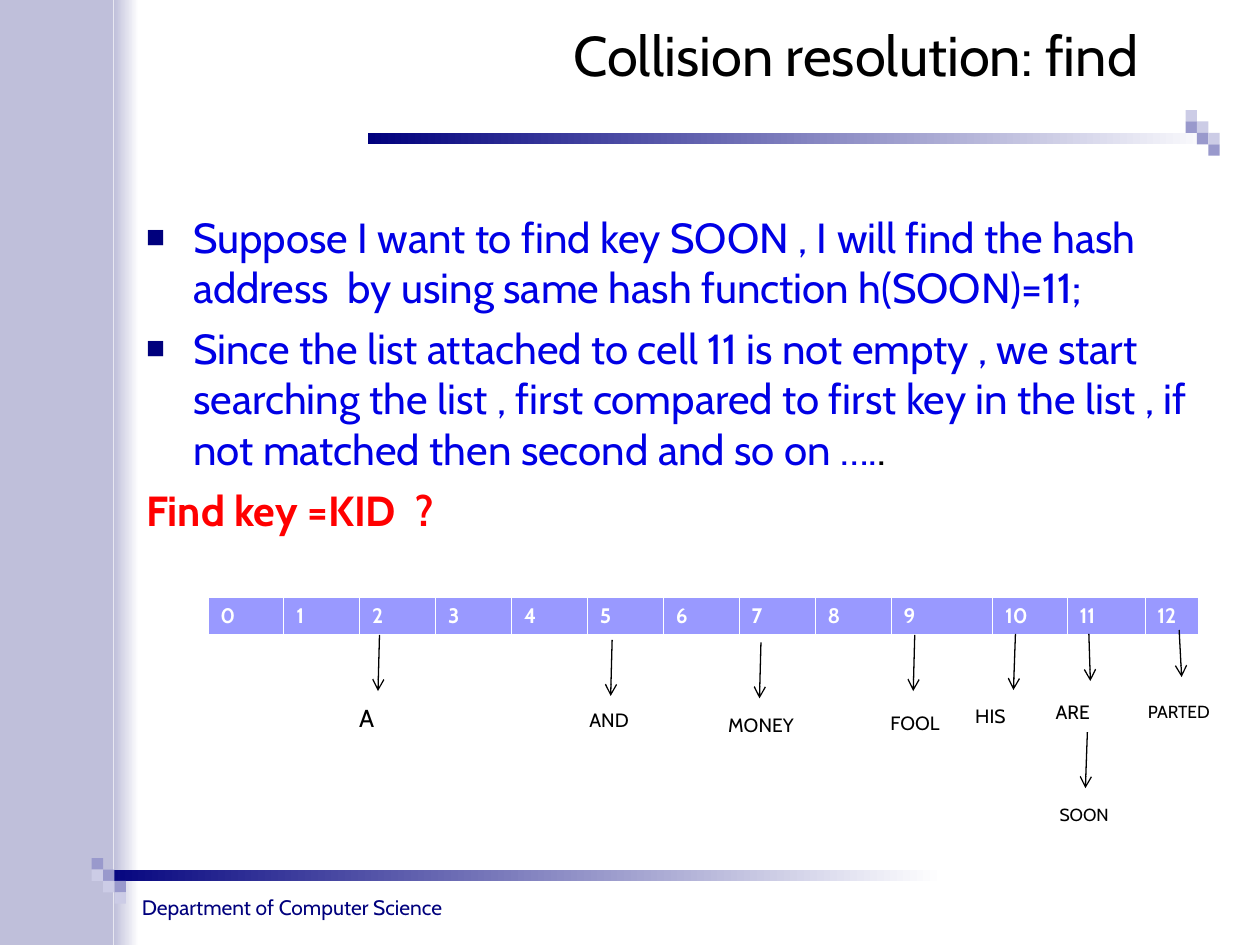
from lxml import etree
from pptx import Presentation
from pptx.dml.color import RGBColor
from pptx.enum import shapes, text
from pptx.oxml import ns
from pptx.util import Cm, Pt

COLORS = {
    "navy": "00007D", "panel": "BFBFDA", "mid": "9999CC", "light": "CCCCE6",
    "cell": "9999FF", "blue": "0000E5", "red": "FF0000",
    "black": "000000", "white": "FFFFFF",
}


def color(name):
    return RGBColor.from_string(COLORS[name])


def add_xml(parent, tag, **attributes):
    return etree.SubElement(parent, ns.qn(tag), attributes)


class SlideBuilder:
    font_name = "Cabin"

    def __init__(self, slide):
        self.slide = slide

    def run(self, paragraph, words, size, color_name, bold=False):
        run = paragraph.add_run()
        run.text = words
        run.font.name = self.font_name
        run.font.size = Pt(size)
        run.font.bold = bold
        run.font.color.rgb = color(color_name)

    def place(self, shape, left, top, width, height):
        shape.left, shape.top = Cm(left), Cm(top)
        shape.width, shape.height = Cm(width), Cm(height)

    def rectangle(self, left, top, width, height, fill, fade=False):
        shape = self.slide.shapes.add_shape(
            shapes.MSO_SHAPE.RECTANGLE, Cm(left), Cm(top), Cm(width), Cm(height))
        shape.shadow.inherit = False
        shape.line.fill.background()
        if fade:
            shape.fill.gradient()
            shape.fill.gradient_angle = 0
            for stop, name in zip(shape.fill.gradient_stops, (fill, "white")):
                stop.color.rgb = color(name)
        else:
            shape.fill.solid()
            shape.fill.fore_color.rgb = color(fill)

    def squares(self, left, top, pattern):
        side = 0.23
        for column, row, fill in pattern:
            self.rectangle(left + column * side, top + row * side, side, side, fill)

    def title(self, words):
        shape = self.slide.shapes.title
        self.place(shape, 0.2, 0.2, 23.01, 1.7)
        frame = shape.text_frame
        frame.auto_size = text.MSO_AUTO_SIZE.NONE
        frame.vertical_anchor = text.MSO_ANCHOR.BOTTOM
        paragraph = frame.paragraphs[0]
        paragraph.alignment = text.PP_ALIGN.RIGHT
        self.run(paragraph, words, 32, "black")

    def body(self, items):
        shape = self.slide.placeholders[1]
        self.place(shape, 2.69, 4.13, 22.25, 7.2)
        frame = shape.text_frame
        frame.auto_size = text.MSO_AUTO_SIZE.NONE
        for index, (bullet, runs) in enumerate(items):
            paragraph = frame.paragraphs[0] if index == 0 else frame.add_paragraph()
            properties = paragraph._p.get_or_add_pPr()
            properties.set("marL", str(Cm(0.95)))
            properties.set("indent", str(Cm(-0.95)))
            if bullet:
                bullet_color = add_xml(properties, "a:buClr")
                add_xml(bullet_color, "a:srgbClr", val=COLORS["navy"])
                add_xml(properties, "a:buSzPct", val="75000")
                add_xml(properties, "a:buChar", char="■")
            else:
                add_xml(properties, "a:buNone")
            paragraph.space_before = Pt(6 if index else 0)
            for words, color_name, bold in runs:
                self.run(paragraph, words, 24, color_name, bold)

    def label(self, words, left, top, width, height, size, color_name="black",
              align=text.PP_ALIGN.LEFT, wrap=True):
        box = self.slide.shapes.add_textbox(Cm(left), Cm(top), Cm(width), Cm(height))
        frame = box.text_frame
        frame.word_wrap = wrap
        paragraph = frame.paragraphs[0]
        paragraph.alignment = align
        self.run(paragraph, words, size, color_name)

    def arrow(self, x, y, lean, length):
        connector = self.slide.shapes.add_connector(
            shapes.MSO_CONNECTOR.STRAIGHT, Cm(x), Cm(y), Cm(x + lean), Cm(y + length))
        connector.line.color.rgb = color("black")
        connector.line.width = Pt(0.75)
        add_xml(connector.line._get_or_add_ln(), "a:tailEnd", type="arrow")
        add_xml(connector._element.spPr, "a:effectLst")

    def borders(self, cell):
        properties = cell._tc.get_or_add_tcPr()
        sides = (("a:lnL", 0.45), ("a:lnR", 0.45), ("a:lnT", 0.45), ("a:lnB", 1.47))
        for position, (tag, width) in enumerate(sides):
            line = etree.Element(ns.qn(tag), w=str(Pt(width)))
            fill = add_xml(line, "a:solidFill")
            add_xml(fill, "a:srgbClr", val=COLORS["white"])
            properties.insert(position, line)

    def table(self, left, top, widths, height):
        table = self.slide.shapes.add_table(
            1, len(widths), Cm(left), Cm(top), Cm(sum(widths)), Cm(height)).table
        for index, width in enumerate(widths):
            table.columns[index].width = Cm(width)
            cell = table.cell(0, index)
            cell.fill.solid()
            cell.fill.fore_color.rgb = color("cell")
            self.borders(cell)
            self.run(cell.text_frame.paragraphs[0], str(index), 12, "white", True)


def main():
    presentation = Presentation()
    presentation.slide_width, presentation.slide_height = Cm(25.4), Cm(19.05)
    builder = SlideBuilder(presentation.slides.add_slide(presentation.slide_layouts[1]))

    # Side panel, rules and corner squares
    builder.rectangle(2.29, 0, 0.51, 19.05, "panel", fade=True)
    builder.rectangle(0, 0, 2.29, 19.05, "panel")
    builder.rectangle(1.85, 17.53, 17.17, 0.23, "navy", fade=True)
    builder.squares(1.85, 17.3, [
        (0, 0, "mid"), (0, 1, "light"), (1, 1, "mid"),
        (1, 2, "light"), (2, 2, "mid"), (2, 3, "light")])
    builder.rectangle(7.42, 2.68, 17.17, 0.23, "navy", fade=True)
    builder.squares(23.9, 2.22, [
        (0, 0, "light"), (0, 1, "mid"), (1, 1, "light"),
        (1, 2, "mid"), (2, 2, "light"), (2, 3, "mid")])
    builder.label("Department of Computer Science", 2.31, 17.91, 7.16, 0.76, 12,
                  "navy", text.PP_ALIGN.CENTER, wrap=False)

    # Title and explanation
    builder.title("Collision resolution: find")
    builder.body([
        (True, [("Suppose I want to find key SOON , I will find the hash address  "
                 "by using same hash function h(SOON)=11;", "blue", False)]),
        (True, [("Since the list attached to cell 11 is not empty , we start "
                 "searching the list , first compared to first key in the list , "
                 "if not matched then second and so on ….", "blue", False),
                (".", "black", False)]),
        (False, [("Find key =KID  ?", "red", True)]),
    ])

    # Hash table
    builder.table(4.19, 12.04, [1.53] * 9 + [2.05, 1.5, 1.57, 1.07], 0.76)

    # Chained keys: label left, top, width, size; arrow x, y, lean, length
    chains = [
        ("A", 6.99, 14.05, 1.47, 14, (7.65, 12.8, -0.03, 1.13)),
        ("AND", 11.63, 14.15, 1.37, 11, (12.34, 12.9, -0.03, 1.13)),
        ("MONEY", 14.43, 14.25, 2.08, 11, (15.34, 12.95, -0.03, 1.13)),
        ("FOOL", 17.7, 14.22, 2.08, 11, (18.44, 12.8, -0.03, 1.13)),
        ("HIS", 19.41, 14.07, 2.08, 11, (20.47, 12.78, -0.04, 1.13)),
        ("ARE", 21.03, 14, 2.08, 11, (21.95, 12.78, 0.03, 0.95)),
        ("SOON", 21.11, 16.08, 1.91, 10, (21.92, 14.76, -0.04, 1.13)),
        ("PARTED", 22.89, 14, 1.93, 10, (23.77, 12.7, 0.05, 0.95)),
    ]
    for key, left, top, width, size, arrow in chains:
        builder.arrow(*arrow)
        builder.label(key, left, top, width, 0.74, size)

    presentation.save("out.pptx")


if __name__ == "__main__":
    main()
